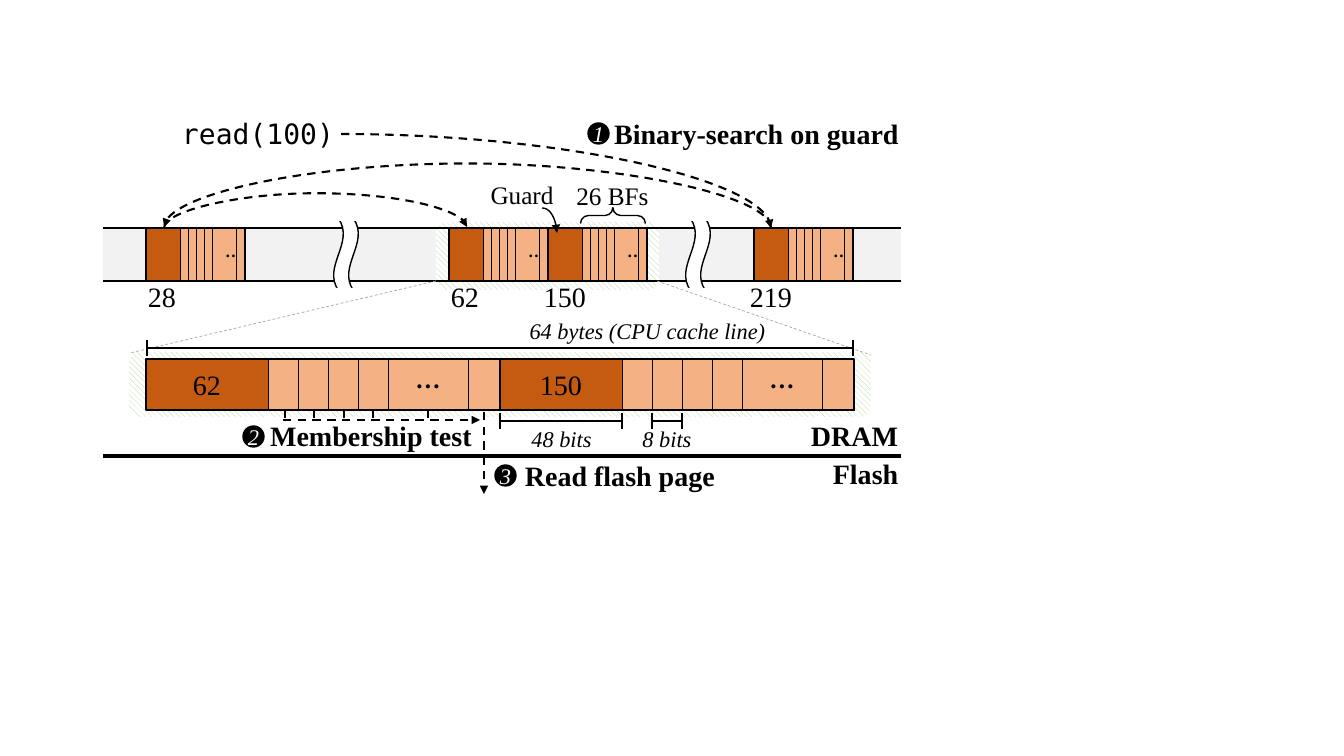
from dataclasses import dataclass
from itertools import accumulate

from pptx import Presentation
from pptx.dml.color import RGBColor
from pptx.enum.dml import MSO_LINE, MSO_PATTERN
from pptx.enum.shapes import MSO_CONNECTOR, MSO_SHAPE
from pptx.enum.text import MSO_ANCHOR, PP_ALIGN
from pptx.oxml.ns import qn
from pptx.util import Emu, Pt
from lxml import etree

RECT, ROUNDED, OVAL = MSO_SHAPE.RECTANGLE, MSO_SHAPE.ROUNDED_RECTANGLE, MSO_SHAPE.OVAL
WAVE, BRACE = MSO_SHAPE.WAVE, MSO_SHAPE.RIGHT_BRACE
STRAIGHT, CURVE = MSO_CONNECTOR.STRAIGHT, MSO_CONNECTOR.CURVE
DASH, HATCH = MSO_LINE.DASH, MSO_PATTERN.WIDE_DOWNWARD_DIAGONAL
CENTER, LEFT, MIDDLE = PP_ALIGN.CENTER, PP_ALIGN.LEFT, MSO_ANCHOR.MIDDLE
EMU_PER_PX = 914400 / 100.8


@dataclass(frozen=True)
class Theme:
    """Colours, fonts and type sizes of the slide."""
    ink: str = "000000"
    paper: str = "FFFFFF"
    strip: str = "F2F2F2"
    guard: str = "C55A11"
    bloom: str = "F4B183"
    hatch: str = "A9D18E"
    zoom: str = "A6A6A6"
    serif: str = "Times New Roman"
    mono: str = "DejaVu Sans Mono"
    large: int = 20
    medium: int = 18
    small: int = 16
    tiny: int = 12


THEME = Theme()


@dataclass(frozen=True)
class Label:
    """A piece of free text with its box in pixels."""
    text: str
    box: tuple[int, int, int, int]
    size: int = THEME.large
    font: str = THEME.serif
    bold: bool = False
    italic: bool = False
    align: PP_ALIGN = CENTER
    wrap: bool = False


@dataclass(frozen=True)
class EntryStyle:
    """Geometry of a guard followed by its Bloom filters."""
    top: int
    height: int
    widths: tuple[int, ...]
    dots_box: tuple[int, int, int, int]
    dots_size: int


STRIP_ENTRY = EntryStyle(228, 53, (34, 8, 8, 8, 8, 24, 9), (71, 236, 18, 30), THEME.tiny)
ZOOM_ENTRY = EntryStyle(359, 51, (122, 30, 30, 30, 30, 80, 32), (249, 358, 66, 24), THEME.medium)
STRIP_LEFT, STRIP_RIGHT, STRIP_TOP, STRIP_BOTTOM = 103, 901, 228, 281
ZOOM_LEFTS = {"62": 146, "150": 500}

LABELS = (
    Label("read(100)", (155, 112, 206, 44), font=THEME.mono),
    Label("28", (138, 275, 48, 44)),
    Label("62", (441, 275, 48, 44)),
    Label("150", (534, 275, 62, 44)),
    Label("219", (740, 275, 62, 44)),
    Label("Guard", (480, 174, 84, 40), THEME.medium),
    Label("26 BFs", (566, 175, 93, 40), THEME.medium),
    Label("64 bytes (CPU cache line)", (518, 312, 259, 37), THEME.small, italic=True),
    Label("48 bits", (520, 420, 83, 37), THEME.small, italic=True),
    Label("8 bits", (631, 420, 72, 37), THEME.small, italic=True),
    Label("DRAM", (801, 414, 109, 44), bold=True, align=LEFT),
    Label("Flash", (823, 452, 87, 44), bold=True, align=LEFT),
)
STEPS = (
    (Label("Binary-search on guard", (603, 112, 307, 44), bold=True), 588, 123),
    (Label("Membership test", (259, 414, 224, 44), bold=True), 243, 426),
    (Label("Read flash page", (514, 454, 212, 44), bold=True), 495, 465),
)


def px(*lengths: float) -> list[Emu]:
    """Turn pixels into EMU."""
    return [Emu(round(length * EMU_PER_PX)) for length in lengths]


def rgb(colour: str) -> RGBColor:
    """Turn a hex string into a colour."""
    return RGBColor.from_string(colour)


def write(frame, text: str, size: int, colour=THEME.ink, font=THEME.serif,
          bold=False, italic=False, align=CENTER) -> None:
    """Put one formatted run in a text frame."""
    paragraph = frame.paragraphs[0]
    paragraph.alignment = align
    run = paragraph.add_run()
    run.text = text
    formats = {"name": font, "size": Pt(size), "bold": bold, "italic": italic}
    for attribute, value in formats.items():
        setattr(run.font, attribute, value)
    run.font.color.rgb = rgb(colour)


def add_label(label: Label) -> None:
    """Draw a text box."""
    frame = slide.shapes.add_textbox(*px(*label.box)).text_frame
    frame.word_wrap = label.wrap
    write(frame, label.text, label.size, font=label.font, bold=label.bold,
          italic=label.italic, align=label.align)


def add_box(kind, box, fill=None, line_width=0.0, rotation=0, adjust=()):
    """Draw a preset shape with an optional fill and outline."""
    shape = slide.shapes.add_shape(kind, *px(*box))
    shape.shadow.inherit = False
    shape.rotation = rotation
    for index, value in enumerate(adjust):
        shape.adjustments[index] = value
    if fill:
        shape.fill.solid()
        shape.fill.fore_color.rgb = rgb(fill)
    else:
        shape.fill.background()
    if line_width:
        shape.line.color.rgb = rgb(THEME.ink)
        shape.line.width = Pt(line_width)
    else:
        shape.line.fill.background()
    return shape


def write_inside(shape, text: str, size: int, **formats) -> None:
    """Write centred text in a shape without margins."""
    frame = shape.text_frame
    settings = {"word_wrap": False, "vertical_anchor": MIDDLE, "margin_left": 0,
                "margin_right": 0, "margin_top": 0, "margin_bottom": 0}
    for attribute, value in settings.items():
        setattr(frame, attribute, value)
    write(frame, text, size, **formats)


def add_line(start, end, width=1.0, colour=THEME.ink, dashed=False, arrow=False, kind=STRAIGHT):
    """Draw a connector, with an arrowhead at its end if asked."""
    connector = slide.shapes.add_connector(kind, *px(*start, *end))
    connector.line.color.rgb = rgb(colour)
    connector.line.width = Pt(width)
    if dashed:
        connector.line.dash_style = DASH
    properties = connector._element.spPr
    if arrow:
        etree.SubElement(properties.find(qn("a:ln")), qn("a:tailEnd"), type="triangle")
    etree.SubElement(properties, qn("a:effectLst"))
    return connector


def add_bend(start, end, width: float, dashed: bool) -> None:
    """Draw an arrow that leaves sideways and arrives from above."""
    bend = add_line(start, end, width, dashed=dashed, arrow=True, kind=CURVE)
    bend._element.spPr.find(qn("a:prstGeom")).set("prst", "curvedConnector2")


def add_arc(start_x: int, end_x: int, rise: int) -> None:
    """Draw a dashed arrow arching over the strip, on a turned frame one pixel wide."""
    middle_x, half = (start_x + end_x) / 2, abs(end_x - start_x) / 2
    middle_y = STRIP_TOP - 0.5
    arc = add_line((middle_x - 0.5, middle_y - half), (middle_x + 0.5, middle_y + half),
                   1.5, dashed=True, arrow=True, kind=CURVE)
    rightward = end_x > start_x
    turn = {"rot": str((90 if rightward else 270) * 60000), "flipV": "1"}
    if rightward:
        turn["flipH"] = "1"
    properties = arc._element.spPr
    for attribute, value in turn.items():
        properties.find(qn("a:xfrm")).set(attribute, value)
    guides = properties.find(qn("a:prstGeom")).get_or_add_avLst()
    etree.SubElement(guides, qn("a:gd"), name="adj1", fmla=f"val {rise * 100000}")


def add_entry(left: int, style: EntryStyle, guard_key: str = "") -> None:
    """Draw a guard, its Bloom filters and the frame around them."""
    offsets = [0, *accumulate(style.widths)]
    cells = [(left + offset, style.top, width, style.height)
             for offset, width in zip(offsets, style.widths)]
    for cell in cells[1:-1]:
        add_box(RECT, cell, THEME.bloom, 0.5)
    dots_x, *dots_rest = style.dots_box
    add_label(Label("…", (left + dots_x, *dots_rest), style.dots_size, bold=True, wrap=True))
    add_box(RECT, cells[-1], THEME.bloom, 0.5)
    guard = add_box(RECT, cells[0], THEME.guard, 0.5)
    if guard_key:
        write_inside(guard, guard_key, THEME.large)
    add_box(RECT, (left, style.top, offsets[-1], style.height), line_width=1.5)


def add_highlight(box) -> None:
    """Draw a hatched area behind a cache line."""
    fill = add_box(ROUNDED, box).fill
    fill.patterned()
    fill.pattern = HATCH
    fill.fore_color.rgb, fill.back_color.rgb = rgb(THEME.hatch), rgb(THEME.paper)


def add_break(center_x: int) -> None:
    """Draw a wavy gap in the strip, with its ends covered."""
    add_box(WAVE, (center_x - 36, 242, 72, 25), THEME.paper, 1, 270, (0.2, 0))
    add_box(RECT, (center_x - 12, 215, 27, 6), THEME.paper)
    add_box(RECT, (center_x - 19, 288, 40, 6), THEME.paper)


def add_dimension(left: int, right: int, y: int) -> None:
    """Draw a measuring line with a tick at each end."""
    add_line((left, y), (right, y))
    for x in (left, right):
        add_line((x, y - 8), (x, y + 8))


presentation = Presentation()
presentation.slide_width, presentation.slide_height = px(1344, 756)
slide = presentation.slides.add_slide(presentation.slide_layouts[6])

add_box(RECT, (STRIP_LEFT, 227, STRIP_RIGHT - STRIP_LEFT, 54), THEME.strip)
add_highlight((436, 222, 223, 68))
for edge_y in (STRIP_TOP, STRIP_BOTTOM):
    add_line((STRIP_LEFT, edge_y), (STRIP_RIGHT, edge_y), 1.5)
for break_x in (346, 698):
    add_break(break_x)
for entry_left in (146, 449, 548, 754):
    add_entry(entry_left, STRIP_ENTRY)

add_bend((341, 134), (771, STRIP_TOP), 1.5, dashed=True)
add_arc(771, 164, 65)
add_arc(164, 467, 35)
add_box(BRACE, (605, 183, 16, 65), line_width=1, rotation=270, adjust=(0.495, 0.499))
add_bend((542, 208), (557, 233), 1, dashed=False)

add_highlight((129, 352, 742, 65))
for key, entry_left in ZOOM_LEFTS.items():
    add_entry(entry_left, ZOOM_ENTRY, key)
for zoom_start, zoom_end in (((436, 281), (130, 353)), ((657, 281), (871, 355))):
    add_line(zoom_start, zoom_end, 0.5, THEME.zoom, dashed=True)
for dimension in ((147, 853, 348), (500, 622, 421), (652, 682, 421)):
    add_dimension(*dimension)

add_line((283, 420), (480, 420), 1.5, dashed=True, arrow=True)
for tested_x in (285, 314, 344, 373, 428):
    add_line((tested_x, 410), (tested_x, 420), 1.5, dashed=True)
add_line((484, 412), (484, 494), 1.5, dashed=True, arrow=True)
add_line((STRIP_LEFT, 456), (STRIP_RIGHT, 456), 3)

for label in LABELS:
    add_label(label)
for number, (step_label, badge_x, badge_y) in enumerate(STEPS, start=1):
    add_label(step_label)
    badge = add_box(OVAL, (badge_x, badge_y, 21, 21), THEME.ink, 1)
    write_inside(badge, str(number), THEME.small, colour=THEME.paper, italic=True)

presentation.save("out.pptx")
